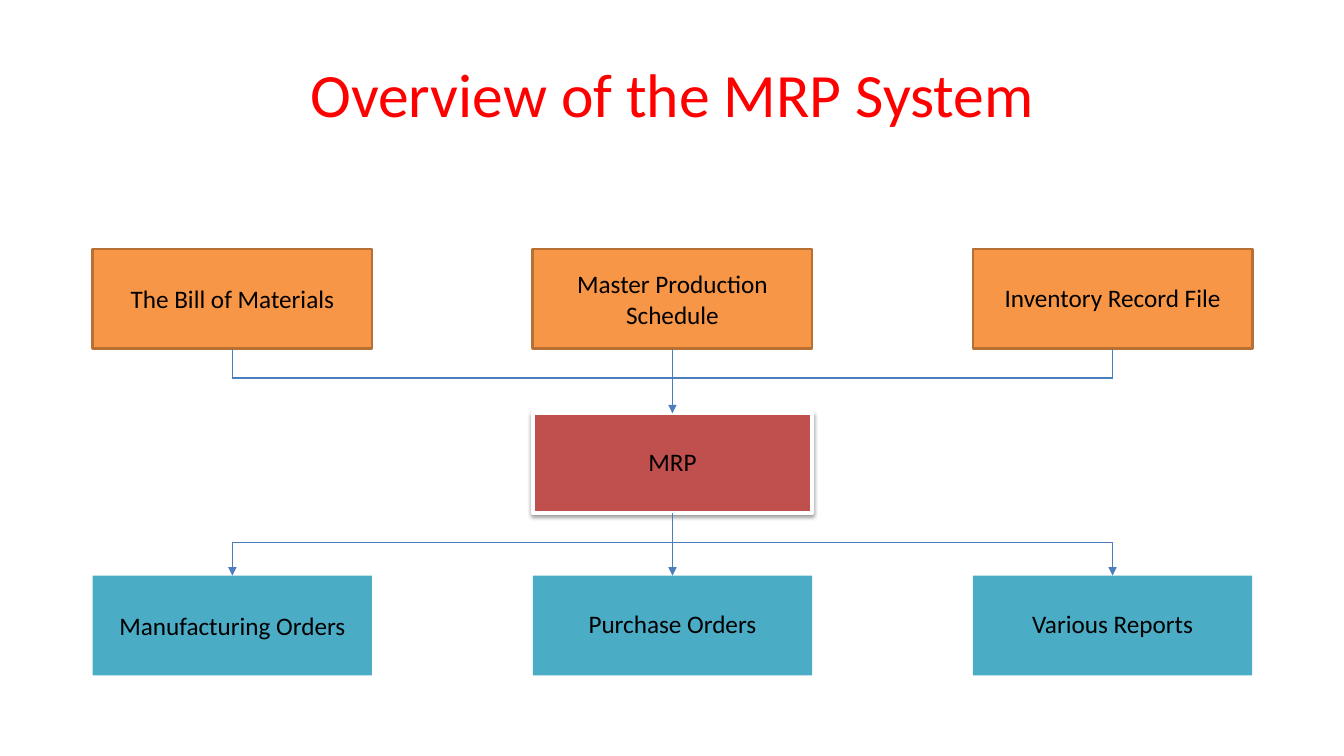
from lxml.etree import SubElement as Sub
from pptx import Presentation
from pptx.dml.color import RGBColor as RGB
from pptx.enum.shapes import MSO_CONNECTOR as Conn, MSO_SHAPE as Shape
from pptx.enum.text import MSO_ANCHOR as Anchor, PP_ALIGN as Align
from pptx.oxml.ns import qn
from pptx.util import Inches, Pt

LEFT, STEP = 0.92, 4.365
WIDE, HIGH = 2.77, 0.99
IN_TOP, MRP_TOP, OUT_TOP = 2.47, 4.1, 5.71
IN_BUS, OUT_BUS = 3.75, 5.38
MIDS = [LEFT + WIDE / 2 + STEP * col for col in range(3)]
INPUTS = ["The Bill of Materials", "Master Production Schedule", "Inventory Record File"]
OUTPUTS = ["Manufacturing Orders", "Purchase Orders", "Various Reports"]
TIGHT = {"Inventory Record File", "MRP", "Purchase Orders", "Various Reports"}


def paint(target, color):
    """Give a fill or line a solid colour."""
    target.solid()
    target.fore_color.rgb = RGB.from_string(color)


def write(shape, text, size, color):
    """Put one centred run of text in a shape."""
    frame = shape.text_frame
    frame.word_wrap = True
    frame.vertical_anchor = Anchor.MIDDLE
    para = frame.paragraphs[0]
    para.alignment = Align.CENTER
    if text in TIGHT:
        para.line_spacing = 0.9
        para.space_before = Pt(10)
    run = para.add_run()
    run.text = text
    run.font.name = "Calibri"
    run.font.size = Pt(size)
    paint(run.font.fill, color)


def title(slide, text):
    """Add the slide heading."""
    box = slide.shapes.add_textbox(Inches(0.67), Inches(0.3), Inches(12), Inches(1.25))
    write(box, text, 44, "FF0000")


def box(slide, text, col, top, fill, edge=None, width=0):
    """Add a labelled box in a column."""
    shape = slide.shapes.add_shape(Shape.RECTANGLE, Inches(LEFT + STEP * col),
                                   Inches(top), Inches(WIDE), Inches(HIGH))
    shape.shadow.inherit = False
    paint(shape.fill, fill)
    if edge:
        paint(shape.line.fill, edge)
        shape.line.width = Pt(width)
    else:
        shape.line.fill.background()
    write(shape, text, 18, "000000")
    return shape


def shade(shape):
    """Drop a soft shadow below a shape."""
    effects = shape._element.spPr.find(qn("a:effectLst"))
    outer = Sub(effects, qn("a:outerShdw"), blurRad=str(Pt(3.1)), dist=str(Pt(1.6)),
                dir="5400000", rotWithShape="0")
    color = Sub(outer, qn("a:srgbClr"), val="000000")
    Sub(color, qn("a:alpha"), val="38000")


def line(slide, x1, y1, x2, y2, arrow=False):
    """Draw a straight line, with an arrowhead if asked."""
    link = slide.shapes.add_connector(Conn.STRAIGHT, Inches(x1), Inches(y1),
                                      Inches(x2), Inches(y2))
    paint(link.line.fill, "4B7EBC")
    link.line.width = Pt(0.75)
    if arrow:
        Sub(link.line._get_or_add_ln(), qn("a:tailEnd"), type="triangle")
    Sub(link._element.spPr, qn("a:effectLst"))
    return link


def join(slide, upper, lower):
    """Link two stacked boxes with a glued arrow."""
    link = line(slide, MIDS[1], 0, MIDS[1], 1, True)
    link.begin_connect(upper, 2)
    link.end_connect(lower, 0)


def main():
    """Build the slide and save it."""
    deck = Presentation()
    deck.slide_width, deck.slide_height = Inches(13.33), Inches(7.5)
    slide = deck.slides.add_slide(deck.slide_layouts[6])
    title(slide, "Overview of the MRP System")
    inputs = [box(slide, text, col, IN_TOP, "F79646", "B76F34", 2)
              for col, text in enumerate(INPUTS)]
    outputs = [box(slide, text, col, OUT_TOP, "4BACC6")
               for col, text in enumerate(OUTPUTS)]
    core = box(slide, "MRP", 1, MRP_TOP, "C0504D", "FFFFFF", 3)
    shade(core)
    for bus in (IN_BUS, OUT_BUS):
        line(slide, MIDS[0], bus, MIDS[2], bus)
    for mid in (MIDS[0], MIDS[2]):
        line(slide, mid, IN_TOP + HIGH, mid, IN_BUS)
        line(slide, mid, OUT_BUS, mid, OUT_TOP, True)
    join(slide, inputs[1], core)
    join(slide, core, outputs[1])
    deck.save("out.pptx")


if __name__ == "__main__":
    main()
